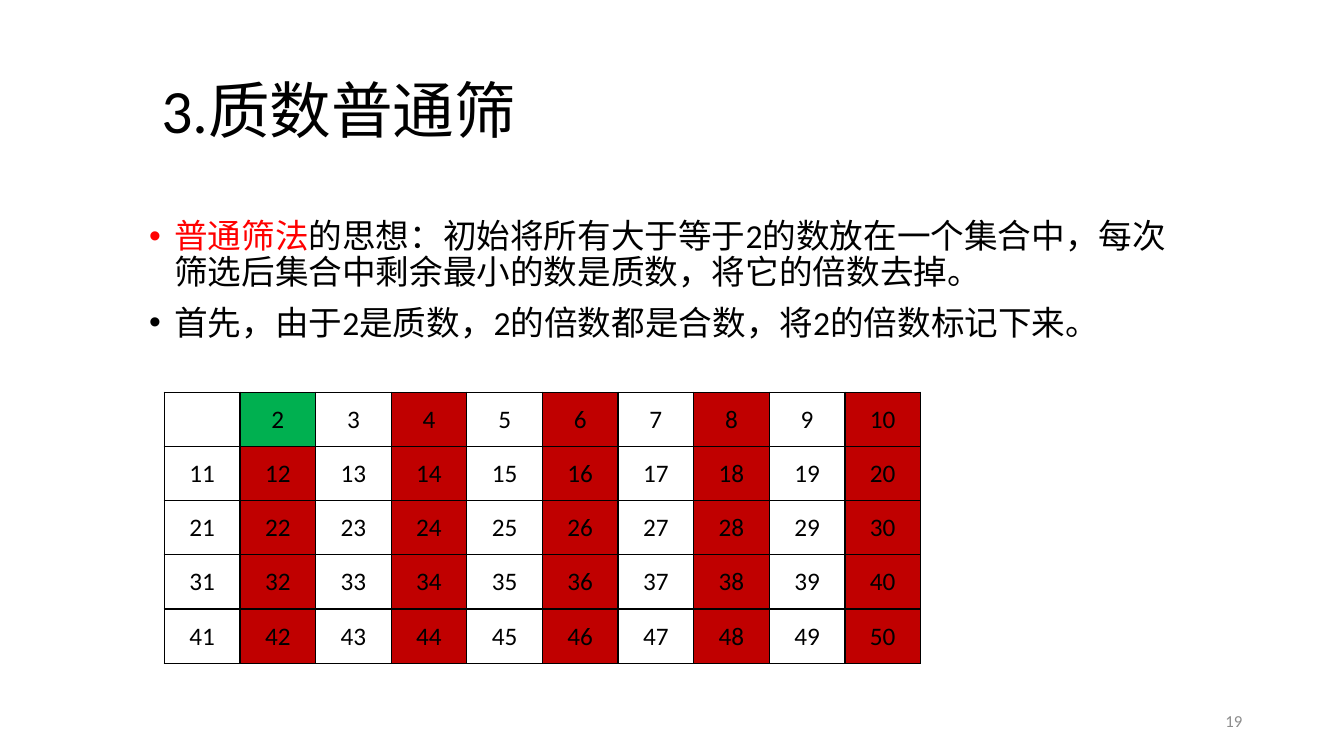
"""Builds the slide on the ordinary prime sieve."""
from dataclasses import dataclass

from lxml import etree
from pptx import Presentation
from pptx import util as u
from pptx.dml.color import RGBColor
from pptx.enum import text
from pptx.oxml.ns import qn


@dataclass(frozen=True)
class Theme:
    """Colours, font and type sizes."""
    font: str = "Calibri"
    ink: str = "000000"
    paper: str = "FFFFFF"
    accent: str = "FF0000"
    prime: str = "00B050"
    composite: str = "C00000"
    muted: str = "8C8C8C"
    title: int = 44
    body: int = 24
    cell: int = 18
    footer: int = 12


class Deck:
    """Holds the theme and the current slide."""

    def __init__(self, theme):
        """Start a widescreen presentation with one title-only slide."""
        self.theme = theme
        self.prs = Presentation()
        self.prs.slide_width, self.prs.slide_height = u.Inches(13.33), u.Inches(7.5)
        self.s = self.prs.slides.add_slide(self.prs.slide_layouts[5])

    def style(self, p, size, color, align=text.PP_ALIGN.LEFT):
        """Set the font and alignment of a paragraph."""
        p.alignment = align
        p.font.name, p.font.size = self.theme.font, u.Pt(size)
        p.font.color.rgb = RGBColor.from_string(color)

    def box(self, at):
        """Add a wrapping text box and return its frame."""
        tf = self.s.shapes.add_textbox(*map(u.Inches, at)).text_frame
        tf.word_wrap = True
        return tf

    def title(self, at, words):
        """Place and format the title."""
        sp = self.s.shapes.title
        sp.left, sp.top, sp.width, sp.height = map(u.Inches, at)
        tf = sp.text_frame
        tf.text = words
        tf.auto_size = text.MSO_AUTO_SIZE.NONE
        tf.vertical_anchor = text.MSO_ANCHOR.MIDDLE
        p = tf.paragraphs[0]
        p.line_spacing = 0.9
        self.style(p, self.theme.title, self.theme.ink)

    def bullets(self, at, items):
        """Add bullets, each a list of words and colour pairs."""
        tf = self.box(at)
        for i, runs in enumerate(items):
            p = tf.add_paragraph() if i else tf.paragraphs[0]
            p.line_spacing, p.space_before = 0.9, u.Pt(10)
            self.style(p, self.theme.body, self.theme.ink)
            for words, color in runs:
                r = p.add_run()
                r.text = words
                r.font.color.rgb = RGBColor.from_string(color)
            pPr = p._p.get_or_add_pPr()
            pPr.set("marL", str(u.Inches(0.25)))
            pPr.set("indent", str(-u.Inches(0.25)))
            marks = [etree.Element(qn("a:buFont"), typeface="Arial"),
                     etree.Element(qn("a:buChar"), char="•")]
            at_font = pPr.index(pPr.find(qn("a:defRPr")))
            pPr[at_font:at_font] = marks

    def borders(self, cell):
        """Draw a thin line on each side of a cell."""
        tcPr = cell._tc.get_or_add_tcPr()
        for side in "LRTB":
            ln = etree.SubElement(tcPr, qn(f"a:ln{side}"), w=str(u.Pt(1)))
            fill = etree.SubElement(ln, qn("a:solidFill"))
            etree.SubElement(fill, qn("a:srgbClr"), val=self.theme.ink)

    def number_grid(self, at, rows, cols, prime):
        """Add a table of numbers with the multiples of a prime marked."""
        t = self.theme
        table = self.s.shapes.add_table(rows, cols, *map(u.Inches, at)).table
        table.first_row = table.horz_banding = False
        for n, cell in enumerate(table.iter_cells(), 1):
            cell.text = str(n) if n > 1 else ""
            cell.vertical_anchor = text.MSO_ANCHOR.MIDDLE
            cell.margin_left = cell.margin_right = cell.margin_top = u.Inches(0.01)
            cell.margin_bottom = 0
            self.style(cell.text_frame.paragraphs[0], t.cell, t.ink, text.PP_ALIGN.CENTER)
            self.borders(cell)
            color = t.prime if n == prime else t.paper if n % prime else t.composite
            cell.fill.solid()
            cell.fill.fore_color.rgb = RGBColor.from_string(color)

    def page_number(self, at, number):
        """Add the page number."""
        tf = self.box(at)
        tf.text = str(number)
        tf.vertical_anchor = text.MSO_ANCHOR.MIDDLE
        self.style(tf.paragraphs[0], self.theme.footer, self.theme.muted,
                   text.PP_ALIGN.RIGHT)


def main():
    """Build and save the slide."""
    t = Theme()
    deck = Deck(t)
    deck.title((1.5, 0.4, 10.35, 1.45), "3.质数普通筛")
    deck.bullets((1.38, 2.13, 10.6, 1.5), [
        [("普通筛法", t.accent),
         ("的思想：初始将所有大于等于2的数放在一个集合中，"
          "每次筛选后集合中剩余最小的数是质数，将它的倍数去掉。", t.ink)],
        [("首先，由于2是质数，2的倍数都是合数，将2的倍数标记下来。", t.ink)],
    ])
    deck.number_grid((1.63, 3.89, 7.5, 2.69), rows=5, cols=10, prime=2)
    deck.page_number((9.42, 6.95, 3, 0.4), 19)
    deck.prs.save("out.pptx")


if __name__ == "__main__":
    main()
